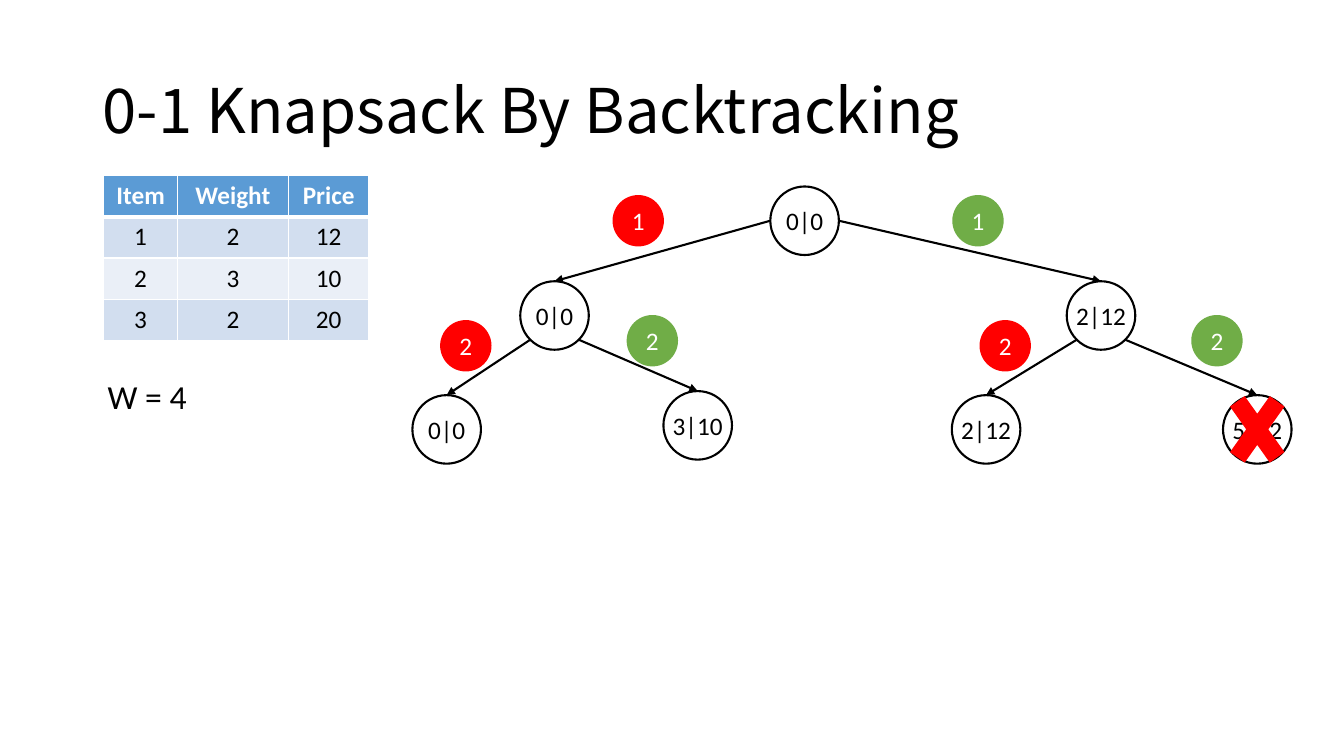
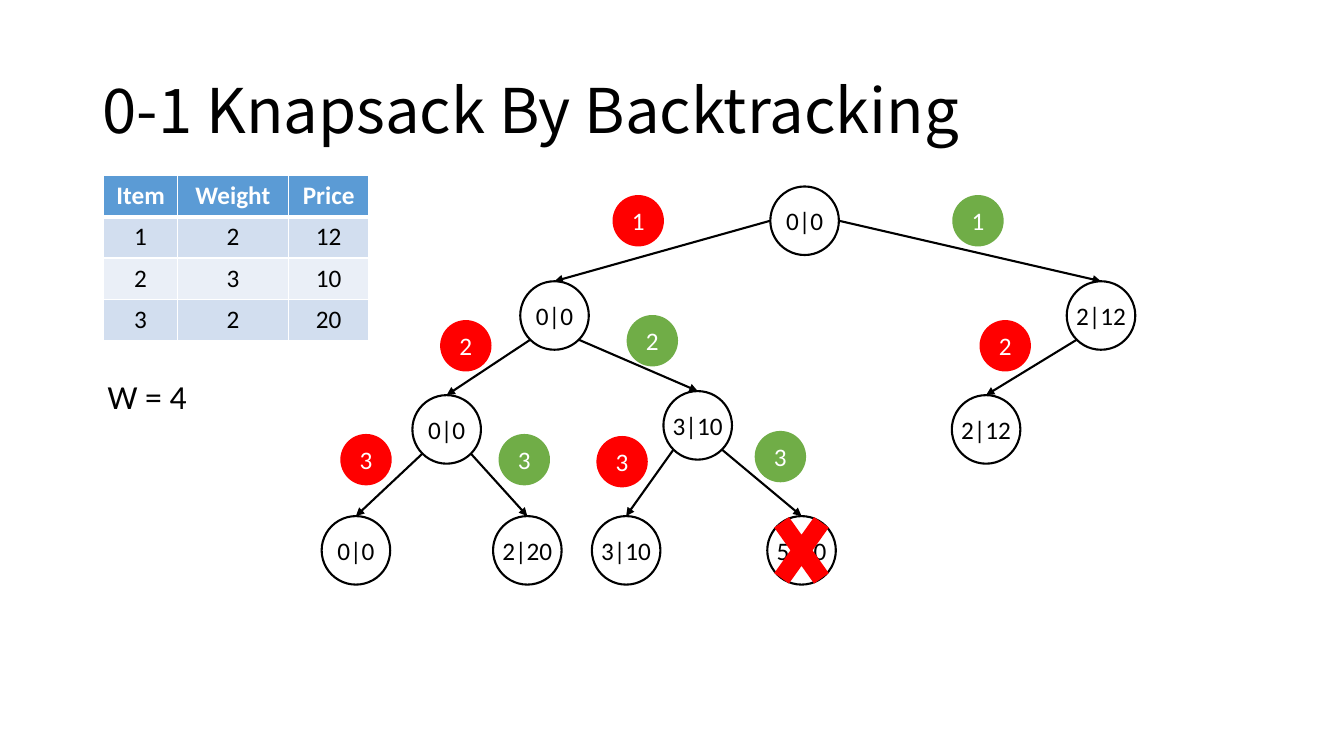
import math

import lxml.etree
import pptx
import pptx.dml.color
import pptx.enum.shapes
import pptx.enum.text
import pptx.oxml.ns
import pptx.util

Inches = pptx.util.Inches
Pt = pptx.util.Pt
RGBColor = pptx.dml.color.RGBColor
SHAPE = pptx.enum.shapes.MSO_SHAPE
ANCHOR = pptx.enum.text.MSO_ANCHOR
ALIGN = pptx.enum.text.PP_ALIGN
qn = pptx.oxml.ns.qn

BLACK = RGBColor(0x00, 0x00, 0x00)
WHITE = RGBColor(0xFF, 0xFF, 0xFF)
SKIP_RED = RGBColor(0xFF, 0x00, 0x00)
TAKE_GREEN = RGBColor(0x70, 0xAD, 0x47)
HEADER_BLUE = RGBColor(0x5B, 0x9B, 0xD5)
BAND_DARK = RGBColor(0xD2, 0xDE, 0xEF)
BAND_LIGHT = RGBColor(0xEA, 0xEF, 0xF7)

TITLE = "0-1 Knapsack By Backtracking"
TITLE_FONT = "Noto Sans CJK SC"
BODY_FONT = "Calibri"

CAPACITY = 4
ITEMS = [(2, 12), (3, 10), (2, 20)]
COLUMNS = [("Item", 0.73), ("Weight", 1.1), ("Price", 0.8)]
ROW_HEIGHT = 0.41

NODE_SIZE = 0.68
BADGE_SIZE = 0.51
CROSS_WIDTH, CROSS_HEIGHT = 0.76, 1.07

# Each path has one digit per item: 0 leaves the item, 1 takes it.
NODE_CENTRES = {
    "": (4.98, 0.69),
    "0": (2.5, 1.63), "1": (7.92, 1.63),
    "00": (1.43, 2.76), "01": (3.92, 2.72), "10": (6.78, 2.76), "11": (9.47, 2.76),
    "000": (0.53, 3.96), "001": (2.23, 3.96), "010": (3.21, 3.96), "011": (4.95, 3.96),
}
BADGE_CENTRES = {
    "0": (3.33, 0.69), "1": (6.7, 0.69),
    "00": (1.62, 1.93), "01": (3.47, 1.88), "10": (6.97, 1.93), "11": (9.07, 1.88),
    "000": (0.63, 3.06), "001": (2.2, 3.06), "010": (3.17, 3.08), "011": (4.74, 3.03),
}
SLIDE_PATHS = [
    ["", "0", "1", "00", "01", "10", "11"],
    ["", "0", "1", "00", "01", "10", "000", "001", "010", "011"],
]


def set_text(tf, text, size=18, font=BODY_FONT, color=BLACK, bold=False,
             align=ALIGN.CENTER, spacing=None):
    """Write one formatted paragraph into a text frame."""
    p = tf.paragraphs[0]
    p.alignment = align
    if spacing:
        p.line_spacing = spacing
    r = p.add_run()
    r.text = text
    r.font.size = Pt(size)
    r.font.name = font
    r.font.color.rgb = color
    r.font.bold = bold


def add_label(slide, left, top, width, height, text, wrap=True, **fmt):
    """Add a left-aligned, vertically centred text box."""
    tf = slide.shapes.add_textbox(Inches(left), Inches(top), Inches(width), Inches(height)).text_frame
    tf.word_wrap = wrap
    tf.vertical_anchor = ANCHOR.MIDDLE
    set_text(tf, text, align=ALIGN.LEFT, **fmt)


def add_centred(slide, kind, x, y, width, height, fill=None, line=None, text="", color=BLACK):
    """Add a preset shape around a centre point, with optional text."""
    sp = slide.shapes.add_shape(kind, Inches(x - width / 2), Inches(y - height / 2),
                                Inches(width), Inches(height))
    sp.shadow.inherit = False
    if fill is None:
        sp.fill.background()
    else:
        sp.fill.solid()
        sp.fill.fore_color.rgb = fill
    if line is None:
        sp.line.fill.background()
    else:
        sp.line.color.rgb = line
        sp.line.width = Pt(1.5)
    if text:
        tf = sp.text_frame
        tf.margin_left = tf.margin_right = tf.margin_top = tf.margin_bottom = 0
        tf.word_wrap = False
        tf.vertical_anchor = ANCHOR.MIDDLE
        set_text(tf, text, color=color)
    return sp


def add_arrow(slide, x, y, child):
    """Draw an arrow from a point to the top of a child node."""
    line = slide.shapes.add_connector(pptx.enum.shapes.MSO_CONNECTOR.STRAIGHT,
                                      Inches(x), Inches(y), Inches(x), Inches(y))
    line.end_connect(child, 0)
    line.line.color.rgb = BLACK
    line.line.width = Pt(1.5)
    props = line._element.spPr
    lxml.etree.SubElement(props.find(qn("a:ln")), qn("a:tailEnd"), type="triangle")
    lxml.etree.SubElement(props, qn("a:effectLst"))


def style_cell(cell, text, fill, color, bold, top, bottom):
    """Format a table cell with white borders, a fill and centred text."""
    props = cell._tc.get_or_add_tcPr()
    for side, width in (("L", 1), ("R", 1), ("T", top), ("B", bottom)):
        ln = lxml.etree.SubElement(props, qn("a:ln" + side), w=str(Pt(width)))
        solid = lxml.etree.SubElement(ln, qn("a:solidFill"))
        lxml.etree.SubElement(solid, qn("a:srgbClr"), val=str(WHITE))
    cell.fill.solid()
    cell.fill.fore_color.rgb = fill
    set_text(cell.text_frame, text, color=color, bold=bold)


def add_item_table(slide, left, top):
    """Add the table of item weights and prices."""
    rows = [[name for name, _ in COLUMNS]]
    rows += [[i, weight, price] for i, (weight, price) in enumerate(ITEMS, 1)]
    width = sum(w for _, w in COLUMNS)
    table = slide.shapes.add_table(len(rows), len(COLUMNS), Inches(left), Inches(top),
                                   Inches(width), Inches(ROW_HEIGHT * len(rows))).table
    for col, (_, w) in zip(table.columns, COLUMNS):
        col.width = Inches(w)
    for i, values in enumerate(rows):
        table.rows[i].height = Inches(ROW_HEIGHT)
        header = i == 0
        fill = HEADER_BLUE if header else BAND_DARK if i % 2 else BAND_LIGHT
        for j, value in enumerate(values):
            style_cell(table.cell(i, j), str(value), fill, WHITE if header else BLACK, header,
                       top=3 if i == 1 else 1, bottom=3 if header else 1)


def load_of(path):
    """Return the total weight and price of the items taken on a path."""
    taken = [item for item, choice in zip(ITEMS, path) if choice == "1"]
    return sum(w for w, _ in taken), sum(p for _, p in taken)


def edge_start(path, x, y):
    """Return where the edge to a path leaves its parent centred at x, y."""
    side = 1 if path[-1] == "1" else -1
    angle = math.radians(0 if len(path) == 1 else 45)
    radius = NODE_SIZE / 2
    return x + side * radius * math.cos(angle), y + radius * math.sin(angle)


def add_tree(slide, left, top, paths):
    """Draw the search tree, its choice badges and crosses on overweight nodes."""
    def place(centre):
        return left + centre[0], top + centre[1]

    nodes = {}
    for path in paths:
        weight, price = load_of(path)
        nodes[path] = add_centred(slide, SHAPE.OVAL, *place(NODE_CENTRES[path]), NODE_SIZE, NODE_SIZE,
                                  line=BLACK, text=f"{weight}|{price}")
    for path in paths[1:]:
        add_arrow(slide, *edge_start(path, *place(NODE_CENTRES[path[:-1]])), nodes[path])
    for path in paths[1:]:
        add_centred(slide, SHAPE.OVAL, *place(BADGE_CENTRES[path]), BADGE_SIZE, BADGE_SIZE,
                    fill=TAKE_GREEN if path[-1] == "1" else SKIP_RED,
                    text=str(len(path)), color=WHITE)
    for path in paths:
        if load_of(path)[0] > CAPACITY:
            add_centred(slide, SHAPE.MATH_MULTIPLY, *place(NODE_CENTRES[path]),
                        CROSS_WIDTH, CROSS_HEIGHT, fill=SKIP_RED)


def add_knapsack_slide(prs, paths):
    """Add one slide with the title, the items, the capacity and the tree."""
    slide = prs.slides.add_slide(prs.slide_layouts[6])
    add_label(slide, 0.92, 0.4, 11.5, 1.45, TITLE, size=44, font=TITLE_FONT, spacing=0.9)
    add_item_table(slide, 1.03, 1.74)
    add_tree(slide, 3, 1.5, paths)
    add_label(slide, 0.97, 3.68, 0.99, 0.5, f"W = {CAPACITY}", wrap=False, size=24)


def main():
    """Build the presentation and save it."""
    prs = pptx.Presentation()
    prs.slide_width = Inches(13.33)
    prs.slide_height = Inches(7.5)
    for paths in SLIDE_PATHS:
        add_knapsack_slide(prs, paths)
    prs.save("out.pptx")


if __name__ == "__main__":
    main()
